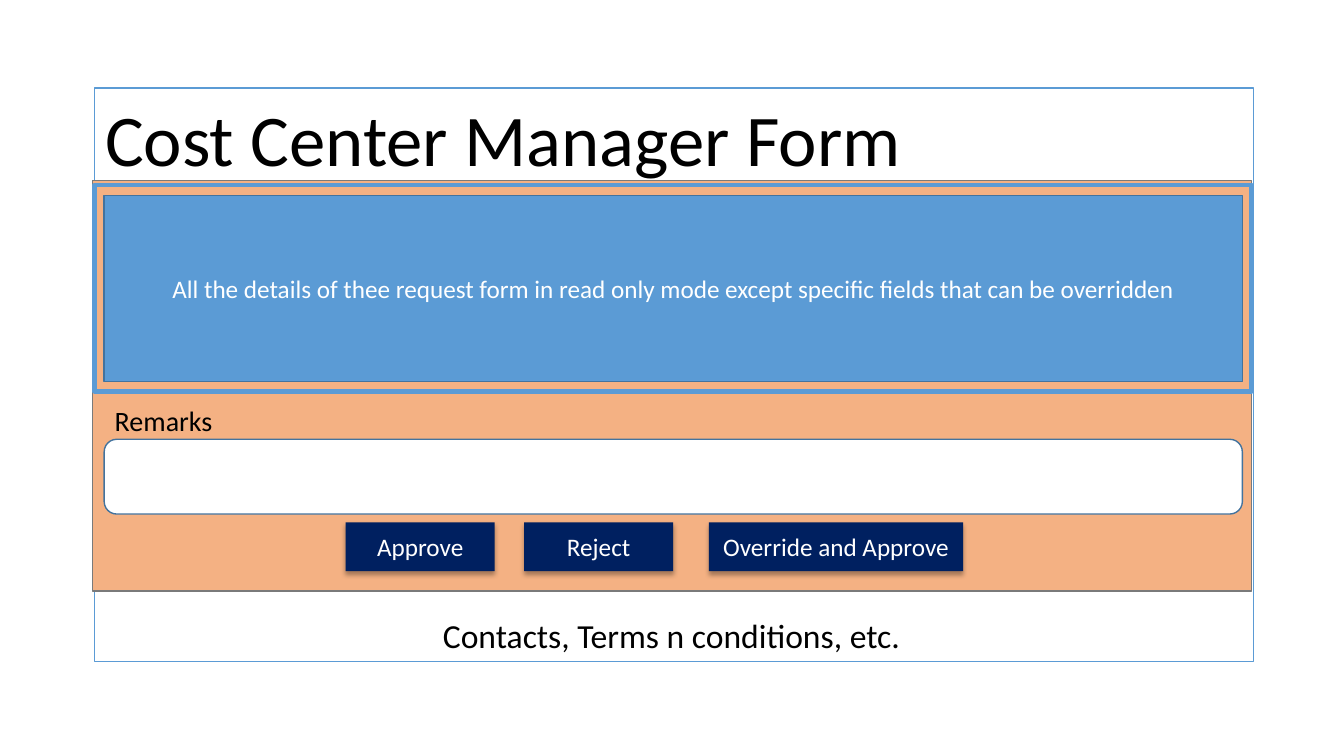
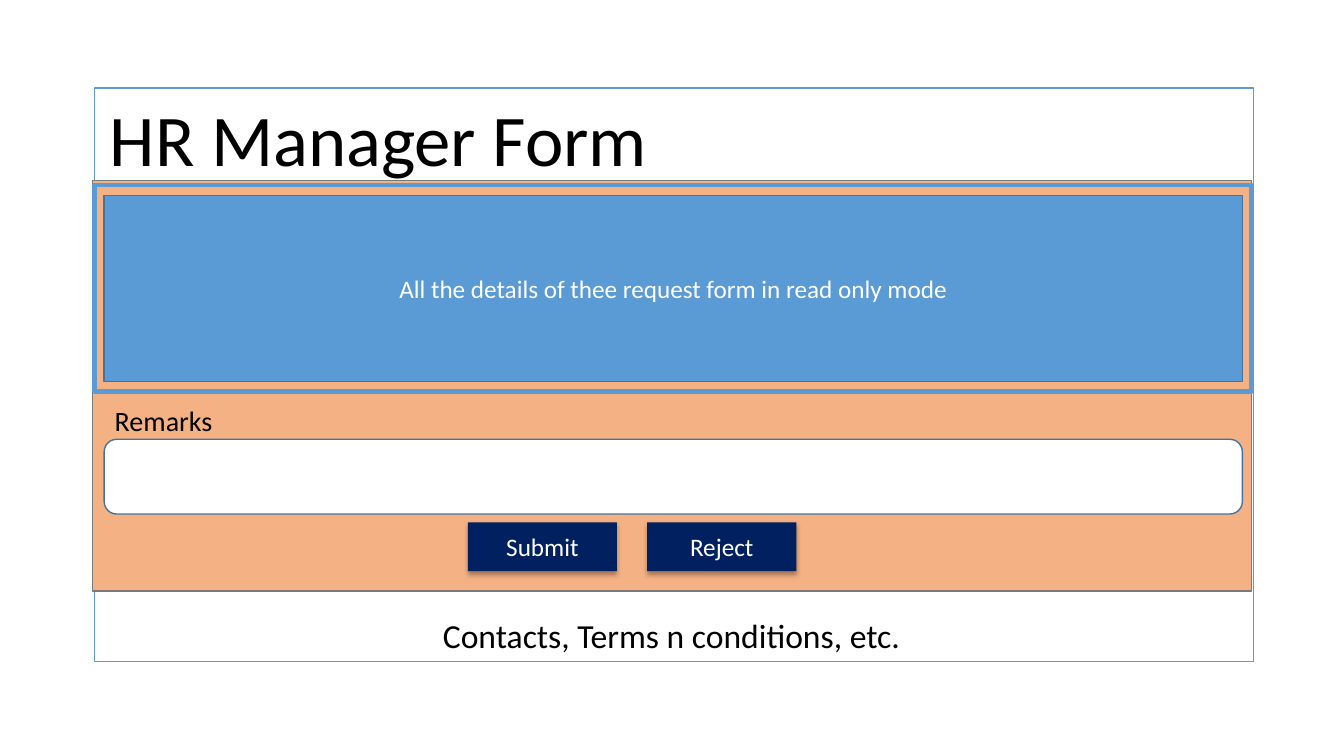
from dataclasses import dataclass
from lxml.etree import SubElement as Sub
from pptx import Presentation as Deck
from pptx.dml.color import RGBColor as Rgb
from pptx.enum.shapes import MSO_SHAPE as Kind
from pptx.enum.text import MSO_ANCHOR as Anchor, MSO_AUTO_SIZE as Fit, PP_ALIGN as Align
from pptx.oxml.ns import qn
from pptx.util import Inches, Pt


@dataclass(frozen=True)
class Theme:
    font: str = "Calibri"
    ink: str = "000000"
    paper: str = "FFFFFF"
    blue: str = "5B9BD5"
    edge: str = "43739E"
    peach: str = "F4B183"
    gray: str = "7A7A7A"
    navy: str = "002060"
    title: int = 52
    foot: int = 24
    label: int = 20
    body: int = 18
    thin: int = 1
    thick: int = 3


LOOK = Theme()
COLS, ROWS = 160, 90
CELL = Inches(1 / 12)
LEFT, WIDE = 12.4, 135.5

FORMS = [
    {
        "title": ("Cost Center Manager Form", 10.8, 98.15),
        "note": "All the details of thee request form in read only mode "
                "except specific fields that can be overridden",
        "acts": [("Approve", 41.15, 17.75), ("Reject", 62.4, 17.75),
                 ("Override and Approve", 84.4, 30.25)],
    },
    {
        "title": ("HR Manager Form", 11.5, 67.1),
        "note": "All the details of thee request form in read only mode",
        "acts": [("Submit", 55.7, 17.75), ("Reject", 77.05, 17.75)],
    },
]


def grid(*cells):
    return [round(n * CELL) for n in cells]


def apply(item, form):
    for name, value in form.items():
        setattr(item, name, value)


def write(shape, text, size, color, **form):
    frame = shape.text_frame
    apply(frame, form)
    para = frame.paragraphs[0]
    para.alignment = Align.CENTER
    run = para.add_run()
    run.text = text
    apply(run.font, {"name": LOOK.font, "size": Pt(size)})
    run.font.color.rgb = Rgb.from_string(color)


def paint(fill, color):
    if color:
        fill.solid()
        fill.fore_color.rgb = Rgb.from_string(color)
    else:
        fill.background()


def box(slide, area, fill=None, line=None, width=LOOK.thin, kind=Kind.RECTANGLE):
    shape = slide.shapes.add_shape(kind, *grid(*area))
    shape.shadow.inherit = False
    paint(shape.fill, fill)
    paint(shape.line.fill, line)
    if line:
        shape.line.width = Pt(width)
    return shape


def label(slide, area, text, size, wrap=False):
    shape = slide.shapes.add_textbox(*grid(*area))
    write(shape, text, size, LOOK.ink, word_wrap=wrap,
          auto_size=Fit.SHAPE_TO_FIT_TEXT)


def panel(slide, area, text, fill, line=None):
    shape = box(slide, area, fill, line)
    write(shape, text, LOOK.body, LOOK.paper, word_wrap=True,
          vertical_anchor=Anchor.MIDDLE)
    return shape


def shade(shape):
    host = shape.element.spPr.find(qn("a:effectLst"))
    cast = Sub(host, qn("a:outerShdw"), blurRad=str(Pt(3.5)), dist=str(Pt(2.2)),
               dir="5400000", algn="ctr", rotWithShape="0")
    tint = Sub(cast, qn("a:srgbClr"), val=LOOK.ink)
    Sub(tint, qn("a:alpha"), val="32000")


def button(slide, text, left, width):
    shade(panel(slide, (left, 62.2, width, 5.8), text, LOOK.navy))


def shell(slide, title, left, width):
    box(slide, (11.25, 10.5, 138, 68.25), LOOK.paper, LOOK.blue)
    box(slide, (11, 21.5, 138, 48.85), LOOK.peach, LOOK.gray)
    label(slide, (left, 10.55, width, 11.75), title, LOOK.title)
    label(slide, (10.8, 72.6, 138.25, 6), "Contacts, Terms n conditions, etc.",
          LOOK.foot, True)
    box(slide, (11.25, 22, 137.75, 24.6), None, LOOK.blue, LOOK.thick)


def remarks(slide):
    label(slide, (LEFT, 47.5, 14.15, 5.25), "Remarks", LOOK.label)
    box(slide, (LEFT, 52.3, WIDE, 8.9), LOOK.paper, LOOK.edge,
        kind=Kind.ROUNDED_RECTANGLE)


def main():
    deck = Deck()
    wide, high = grid(COLS, ROWS)
    apply(deck, {"slide_width": wide, "slide_height": high})
    for form in FORMS:
        slide = deck.slides.add_slide(deck.slide_layouts[6])
        shell(slide, *form["title"])
        panel(slide, (LEFT, 23.25, WIDE, 22.2), form["note"], LOOK.blue, LOOK.edge)
        for act in form["acts"]:
            button(slide, *act)
        remarks(slide)
    deck.save("out.pptx")


main()
